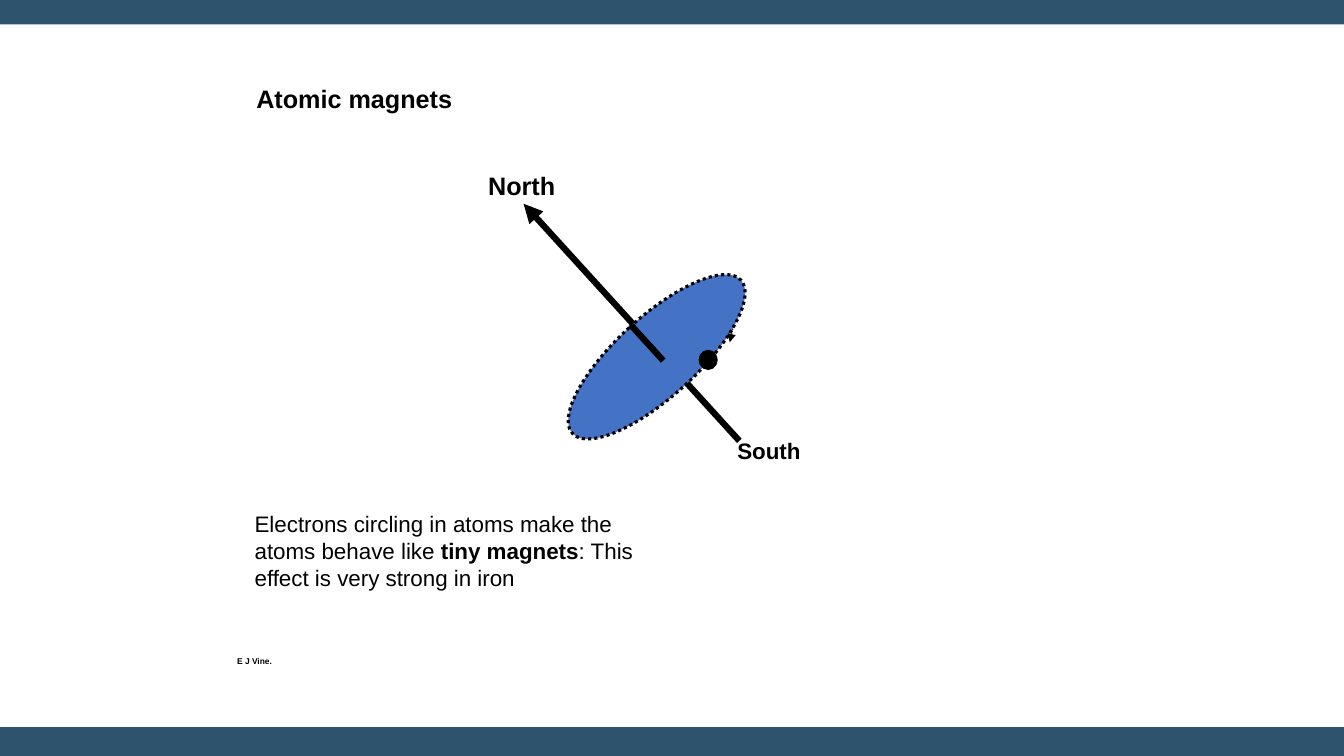
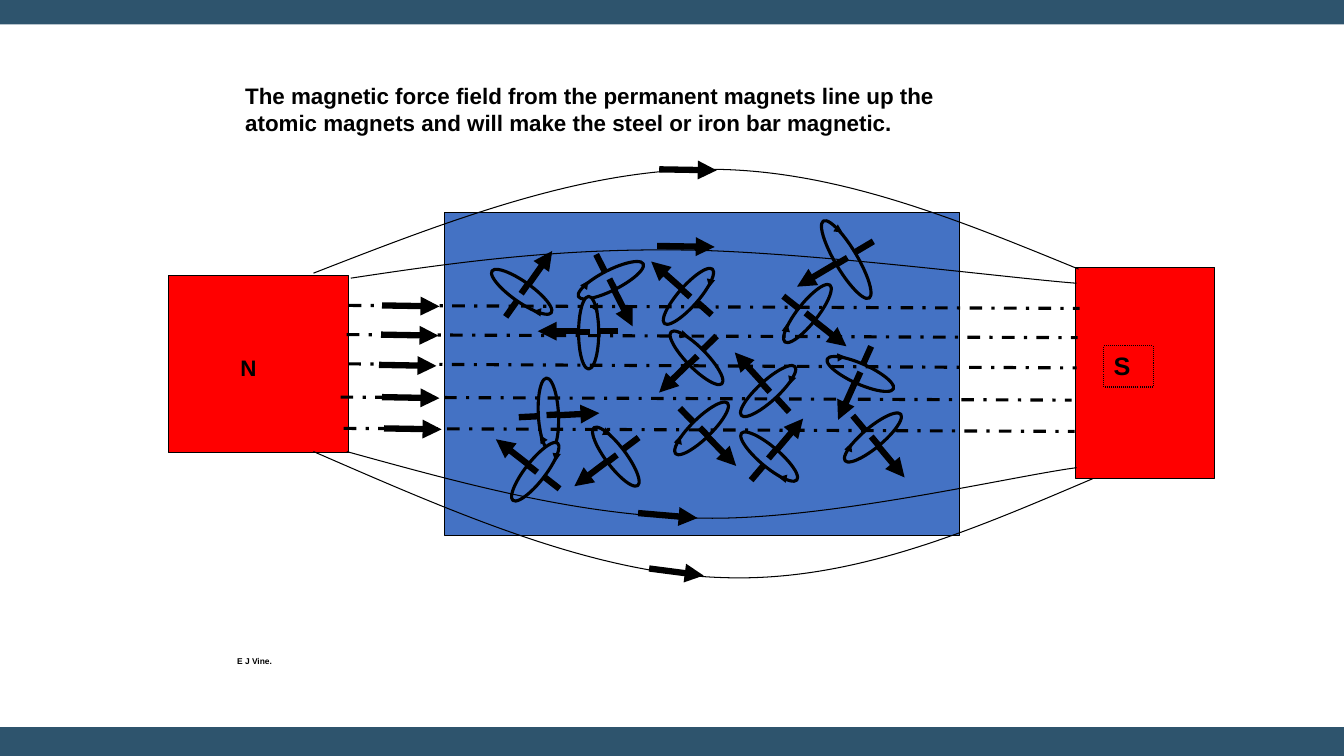
from dataclasses import dataclass
from math import cos, radians, sin

from lxml.etree import SubElement
from pptx import Presentation
from pptx.dml.color import RGBColor
from pptx.enum.dml import MSO_LINE
from pptx.enum.shapes import MSO_CONNECTOR, MSO_SHAPE
from pptx.enum.text import MSO_ANCHOR, MSO_AUTO_SIZE, PP_ALIGN
from pptx.oxml.ns import qn
from pptx.util import Inches, Pt


@dataclass(frozen=True)
class Theme:
    band: RGBColor = RGBColor(0x2E, 0x54, 0x6D)
    paper: RGBColor = RGBColor(0xFF, 0xFF, 0xFF)
    ink: RGBColor = RGBColor(0x00, 0x00, 0x00)
    iron: RGBColor = RGBColor(0x44, 0x72, 0xC4)
    magnet: RGBColor = RGBColor(0xFF, 0x00, 0x00)
    font: str = "Arial"
    heading: float = 18
    body: float = 16
    credit: float = 6
    thin: float = 0.75
    medium: float = 2.25
    thick: float = 4.5


THEME = Theme()
COLUMNS, ROWS = 133.33, 75  # grid of tenth-inch cells
CELL = Inches(0.1)


def grid(*cells):
    return [round(cell * CELL) for cell in cells]


def set_all(target, values):
    for name, value in values.items():
        setattr(target, name, value)


def stroke(line, width, dash=None):
    line.fill.solid()
    line.fill.fore_color.rgb = THEME.ink
    set_all(line, {"width": Pt(width), "dash_style": dash})


# Kinds of element
def block(shapes, kind, box, fill, width=None, dash=None, turn=0):
    shape = shapes.add_shape(kind, *grid(*box))
    shape.shadow.inherit = False
    shape.rotation = turn
    shape.fill.solid()
    shape.fill.fore_color.rgb = fill
    if width:
        stroke(shape.line, width, dash)
    else:
        shape.line.fill.background()
    return shape


def rule(shapes, start, end, width, dash=None, arrow=False):
    line = shapes.add_connector(MSO_CONNECTOR.STRAIGHT, *grid(*start, *end))
    stroke(line.line, width, dash)
    properties = line._element.spPr
    if arrow:
        SubElement(properties.find(qn("a:ln")), qn("a:tailEnd"), type="triangle")
    SubElement(properties, qn("a:effectLst"))
    return line


def label(slide, box, *runs, size=THEME.body):
    """Write runs of (text, bold) into one paragraph."""
    area = slide.shapes.add_textbox(*grid(*box))
    set_all(area.text_frame, {
        "word_wrap": True,
        "auto_size": MSO_AUTO_SIZE.SHAPE_TO_FIT_TEXT,
        "vertical_anchor": MSO_ANCHOR.TOP,
    })
    paragraph = area.text_frame.paragraphs[0]
    paragraph.alignment = PP_ALIGN.LEFT
    for text, bold in runs:
        run = paragraph.add_run()
        run.text = text
        set_all(run.font, {"name": THEME.font, "size": Pt(size), "bold": bold})
        run.font.color.rgb = THEME.ink
    return area


def field_curve(slide, points):
    """Draw an open curve of two cubic segments sharing their middle point."""
    builder = slide.shapes.build_freeform(*grid(*points[0]))
    builder.add_line_segments([grid(*point) for point in points[1:]], close=False)
    curve = builder.convert_to_shape()
    curve.shadow.inherit = False
    curve.fill.background()
    stroke(curve.line, THEME.thin)

    # Each three straight steps become one cubic segment
    outline = curve._element.find(".//" + qn("a:path"))
    steps = outline.findall(qn("a:lnTo"))
    for first in (0, 3):
        cubic = SubElement(outline, qn("a:cubicBezTo"))
        for step in steps[first:first + 3]:
            cubic.append(step[0])
            outline.remove(step)


def atom(slide, center, turn, width=2, height=7.2, dash=None):
    """Draw an electron orbit with its magnetic axis, turned about its center."""
    cx, cy = center
    angle = radians(turn)
    shapes = slide.shapes.add_group_shape().shapes

    def place(across, along):
        x, y = across * width, along * height
        return (cx + x * cos(angle) - y * sin(angle),
                cy + x * sin(angle) + y * cos(angle))

    # Axis behind the orbit, orbit, spin arrow, axis in front of the orbit
    rule(shapes, place(1.47, -0.02), place(-2.53, -0.02), THEME.thick, arrow=True)
    block(shapes, MSO_SHAPE.OVAL, (cx - width / 2, cy - height / 2, width, height),
          THEME.iron, THEME.medium, dash, turn)
    rule(shapes, place(0.38, -0.33), place(0.48, -0.28), THEME.thin, dash, arrow=True)
    rule(shapes, place(-0.5, -0.01), place(0.09, -0.01), THEME.thick)


def move_frame_to_master(deck, slide):
    """Put the bands that all slides share on the master, behind everything."""
    frame = (((0, 0, COLUMNS, ROWS), THEME.band),
             ((0, 2.43, COLUMNS, 69.7), THEME.paper))
    for index, (box, fill) in enumerate(frame):
        panel = block(slide.shapes, MSO_SHAPE.RECTANGLE, box, fill)
        deck.slide_master.shapes._spTree.insert(2 + index, panel._element)


def credited_slide(deck):
    slide = deck.slides.add_slide(deck.slide_layouts[6])
    label(slide, (22.54, 64.6, 43.8, 2), ("E J Vine.", True), size=THEME.credit)
    return slide


# Slides
def atomic_magnets(deck):
    slide = credited_slide(deck)
    move_frame_to_master(deck, slide)
    label(slide, (24.44, 7.8, 23, 4), ("Atomic magnets", True), size=THEME.heading)
    atom(slide, (65.15, 35.4), 47.7, 7.95, 22.6, MSO_LINE.ROUND_DOT)
    label(slide, (47.44, 16.4, 13.8, 4), ("North", True), size=THEME.heading)
    label(slide, (72.16, 42.9, 21.1, 3.7), ("South", True))
    block(slide.shapes, MSO_SHAPE.OVAL, (69.35, 34.75, 1.8, 1.9), THEME.ink, THEME.thin)
    label(slide, (24.27, 50.13, 42.1, 9),
          ("Electrons circling in atoms make the atoms behave like ", False),
          ("tiny magnets", True),
          (": This effect is very strong in iron", False))


def magnetic_field(deck):
    slide = credited_slide(deck)

    # Iron bar and its atoms: center, turn
    block(slide.shapes, MSO_SHAPE.RECTANGLE, (44.1, 21.1, 51.1, 32), THEME.iron, THEME.thin)
    for center, turn in (
        ((60.6, 27.8), 243.1), ((58.4, 33), 0), ((54.4, 41.1), 177.1),
        ((68.3, 29.4), 41.4), ((69.1, 35.5), 315.5), ((69.6, 42.5), 225.7),
        ((80.1, 31.1), 218.4), ((76.2, 38.8), 47.6), ((76.3, 45.3), 130.2),
        ((51.75, 28.95), 125.2), ((53.1, 46.8), 37.9), ((61.1, 45.3), 322.9),
        ((85.35, 37.1), 294.2), ((86.6, 43.4), 230),
    ):
        atom(slide, center, turn)
    atom(slide, (83.95, 25.75), 329.3, 2.2, 8.9)

    label(slide, (23.34, 7.67, 72.1, 6.4),
          ("The magnetic force field from the permanent magnets line up the atomic "
           "magnets and will make the steel or iron bar magnetic.", True))

    # Permanent magnets
    north, _ = (block(slide.shapes, MSO_SHAPE.RECTANGLE, box, THEME.magnet, THEME.thin)
                for box in ((16.67, 27.3, 17.9, 17.6), (106.7, 26.5, 13.8, 21)))
    label(slide, (22.86, 34.6, 7.9, 3.7), ("N", True))
    south_pole = label(slide, (109.5, 34.3, 4.9, 4.1), ("S", True), size=THEME.heading)
    stroke(south_pole.line, THEME.thin, MSO_LINE.ROUND_DOT)

    # Straight field lines: row, line start, arrow start
    field_lines = []
    for y, line_x, arrow_x in ((30.3, 34.6, 37.9), (33.2, 34.4, 37.8), (36.2, 34.3, 37.6),
                               (39.4, 33.8, 37.9), (42.5, 34.1, 38.1)):
        field_lines.append(rule(slide.shapes, (line_x, y), (line_x + 72.5, y + 0.3),
                                THEME.medium, MSO_LINE.DASH_DOT))
        rule(slide.shapes, (arrow_x, y), (arrow_x + 5.7, y + 0.1), THEME.thick, arrow=True)
    field_lines[2].begin_connect(north, 3)

    # Curved field lines, each with its arrow
    for points, start, end in (
        (((31.1, 27.1), (44.2, 22), (57.4, 16.9), (70, 16.8),
          (82.6, 16.7), (94.8, 21.7), (107, 26.7)), (65.4, 16.8), (71.1, 16.9)),
        (((34.8, 27.6), (44.7, 26.1), (54.7, 24.7), (66.7, 24.8),
          (78.7, 24.8), (100.1, 27.6), (106.8, 28.1)), (65.2, 24.4), (70.9, 24.5)),
        (((34.4, 44.8), (46, 48), (57.5, 51.2), (69.5, 51.4),
          (81.6, 51.7), (100.6, 47.2), (106.8, 46.4)), (63.3, 50.9), (69.2, 51.4)),
        (((31.1, 44.8), (44.9, 50.8), (58.7, 56.9), (71.6, 57.3),
          (84.5, 57.8), (96.4, 52.6), (108.4, 47.5)), (64.4, 56.4), (69.8, 57.1)),
    ):
        field_curve(slide, points)
        rule(slide.shapes, start, end, THEME.thick, arrow=True)


def main():
    deck = Presentation()
    deck.slide_width, deck.slide_height = grid(COLUMNS, ROWS)
    atomic_magnets(deck)
    magnetic_field(deck)
    deck.save("out.pptx")


if __name__ == "__main__":
    main()
